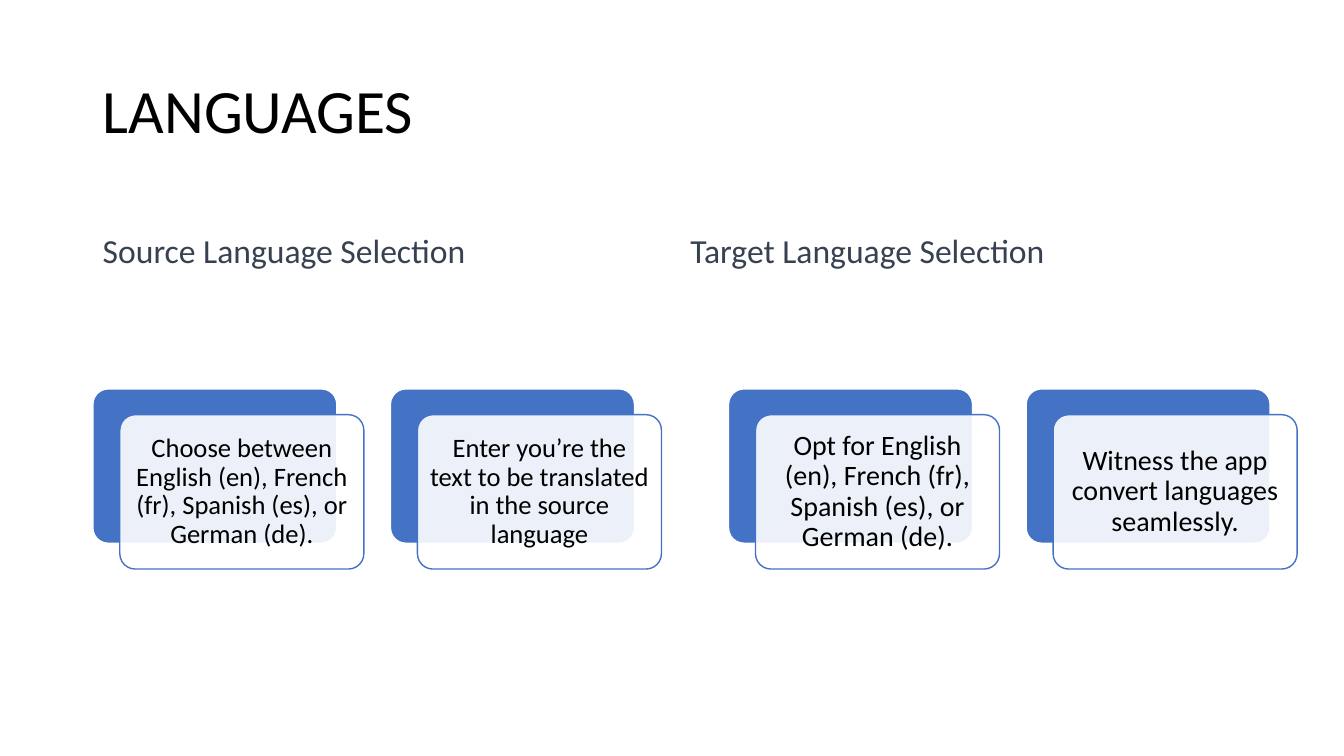
from lxml.etree import SubElement
from pptx import Presentation
from pptx.dml.color import RGBColor
from pptx.enum.shapes import MSO_SHAPE
from pptx.enum.text import MSO_ANCHOR, MSO_AUTO_SIZE, PP_ALIGN
from pptx.oxml.ns import qn
from pptx.util import Cm, Pt

HUES = {"ink": "000000", "slate": "374151", "blue": "4472C4", "white": "FFFFFF"}
FRAME = {"word_wrap": True, "auto_size": MSO_AUTO_SIZE.NONE}
PAD = {f"margin_{side}": Cm(0.2) for side in ("left", "right", "top", "bottom")}
HEAD = {"alignment": PP_ALIGN.LEFT, "line_spacing": 0.9}
SUB = {**HEAD, "space_before": Pt(10)}
BODY = {**HEAD, "alignment": PP_ALIGN.CENTER}
PANELS = [
    ("Source Language Selection", 2.34, 2.34, 19, [
        "Choose between English (en), French (fr), Spanish (es), or German (de).",
        "Enter you’re the text to be translated in the source language",
    ]),
    ("Target Language Selection", 17.15, 18.36, 20, [
        "Opt for English (en), French (fr), Spanish (es), or German (de).",
        "Witness the app convert languages seamlessly.",
    ]),
]


def apply(item, values):
    for name, value in values.items():
        setattr(item, name, value)


def hue(name):
    return RGBColor.from_string(HUES[name])


def place(shape, left, top, width, height):
    apply(shape, {"left": Cm(left), "top": Cm(top),
                  "width": Cm(width), "height": Cm(height)})


def write(shape, words, size, color, anchor, style, pad=None):
    frame = shape.text_frame
    apply(frame, {**FRAME, **(pad or {}), "vertical_anchor": anchor})
    para = frame.paragraphs[0]
    apply(para, style)
    run = para.add_run()
    run.text = words
    apply(run.font, {"name": "Calibri", "size": Pt(size), "bold": False})
    run.font.color.rgb = hue(color)


def add_title(slide, words, left, top, width, height):
    title = slide.shapes.title
    place(title, left, top, width, height)
    write(title, words, 44, "ink", MSO_ANCHOR.MIDDLE, HEAD)


def add_tile(slide, left, top, width, height, fill, line, alpha=100):
    tile = slide.shapes.add_shape(MSO_SHAPE.ROUNDED_RECTANGLE, 0, 0, 0, 0)
    place(tile, left, top, width, height)
    tile.shadow.inherit = False
    tile.adjustments[0] = 0.1
    tile.fill.solid()
    tile.fill.fore_color.rgb = hue(fill)
    tile.line.color.rgb = hue(line)
    tile.line.width = Pt(1)
    if alpha < 100:
        color = tile.fill._xPr.find(qn("a:solidFill"))[0]
        SubElement(color, qn("a:alpha"), val=str(alpha * 1000))
    return tile


def add_card(slide, words, size, left, top, width, height):
    add_tile(slide, left, top, width, height, "blue", "white")
    front = add_tile(slide, left + 0.68, top + 0.65, width, height,
                     "white", "blue", 90)
    write(front, words, size, "ink", MSO_ANCHOR.MIDDLE, BODY, PAD)


def add_panel(slide, panel, top, width):
    head, left, start, size, notes = panel
    label = slide.shapes.add_textbox(0, 0, 0, 0)
    place(label, left, top, width, 2.29)
    write(label, head, 24, "slate", MSO_ANCHOR.BOTTOM, SUB)
    for step, words in enumerate(notes):
        add_card(slide, words, size, start + step * 7.5, top + 5.13, 6.15, 3.89)


def main():
    deck = Presentation()
    apply(deck, {"slide_width": Cm(33.87), "slide_height": Cm(19.05)})
    slide = deck.slides.add_slide(deck.slide_layouts[5])
    add_title(slide, "LANGUAGES", 2.34, 1.02, 29.21, 3.68)
    for panel in PANELS:
        add_panel(slide, panel, 4.67, 14.4)
    deck.save("out.pptx")


if __name__ == "__main__":
    main()
